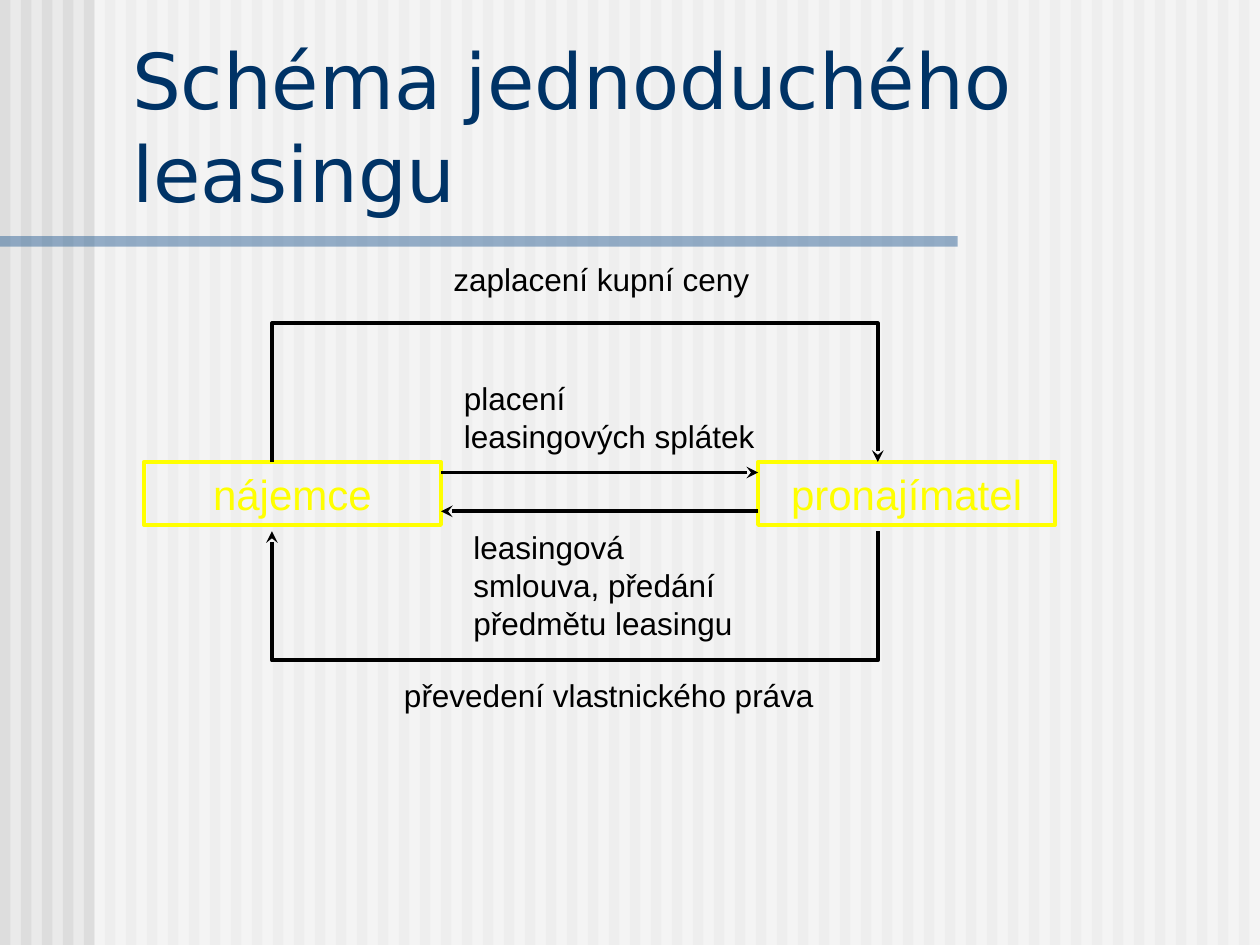
from dataclasses import dataclass
from typing import Any, NamedTuple

from lxml import etree
from pptx import Presentation
from pptx.dml.color import RGBColor
from pptx.enum.shapes import MSO_CONNECTOR, MSO_SHAPE
from pptx.enum.text import MSO_ANCHOR, PP_ALIGN
from pptx.oxml.ns import qn
from pptx.util import Pt

SCALE = 7620
WIDE, HIGH = 1200, 900
RECT = MSO_SHAPE.RECTANGLE
LINE = MSO_CONNECTOR.STRAIGHT
LEFT, MID = PP_ALIGN.LEFT, PP_ALIGN.CENTER
TOP, BASE = MSO_ANCHOR.TOP, MSO_ANCHOR.BOTTOM


@dataclass(frozen=True)
class Theme:
    back: RGBColor = RGBColor(0xEA, 0xEA, 0xEA)
    stripe: RGBColor = RGBColor(0xDD, 0xDD, 0xDD)
    veil: RGBColor = RGBColor(0xFF, 0xFF, 0xFF)
    rule: RGBColor = RGBColor(0x33, 0x66, 0x99)
    title: RGBColor = RGBColor(0x00, 0x33, 0x66)
    party: RGBColor = RGBColor(0xFF, 0xFF, 0x00)
    ink: RGBColor = RGBColor(0x00, 0x00, 0x00)
    head: str = "DejaVu Sans"
    body: str = "Arial"
    large: Any = Pt(44)
    medium: Any = Pt(24)
    small: Any = Pt(18)
    stroke: Any = Pt(2.25)


class Area(NamedTuple):
    x: int
    y: int
    w: int
    h: int


class Label(NamedTuple):
    text: str
    area: Area


class Point(NamedTuple):
    x: int
    y: int


THEME = Theme()
PITCH, BAND = 20, 10
VEIL = Area(90, 0, 1110, HIGH)
RULE = Area(0, 225, 912, 10)
TITLE = Label("Schéma jednoduchého leasingu", Area(114, 25, 1072, 188))
PARTIES = [
    Label("nájemce", Area(137, 440, 283, 60)),
    Label("pronajímatel", Area(722, 440, 283, 60)),
]
NOTES = [
    Label("leasingová smlouva, předání předmětu leasingu", Area(439, 497, 283, 120)),
    Label("placení leasingových splátek", Area(430, 355, 302, 84)),
    Label("zaplacení kupní ceny", Area(420, 242, 331, 48)),
    Label("převedení vlastnického práva", Area(373, 638, 425, 48)),
]
FLOWS = [
    (Point(420, 450), Point(722, 450)),
    (Point(722, 487), Point(420, 487)),
]
LOOPS = [
    [Point(259, 440), Point(259, 308), Point(836, 308), Point(836, 440)],
    [Point(836, 506), Point(836, 629), Point(259, 629), Point(259, 506)],
]


def emu(*sizes: int) -> list[int]:
    return [size * SCALE for size in sizes]


def apply(item: Any, values: dict[str, Any]) -> None:
    for name, value in values.items():
        setattr(item, name, value)


def write(shape: Any, text: str, font: dict[str, Any], color: RGBColor,
          align: Any = LEFT, anchor: Any = TOP) -> None:
    frame = shape.text_frame
    apply(frame, {"word_wrap": True, "vertical_anchor": anchor, "text": text})
    para = frame.paragraphs[0]
    para.alignment = align
    apply(para.font, font)
    para.font.color.rgb = color


def paint(shapes: Any, area: Area, color: RGBColor, alpha: int = 100) -> None:
    shape = shapes.add_shape(RECT, *emu(*area))
    shape.shadow.inherit = False
    shape.fill.solid()
    shape.fill.fore_color.rgb = color
    shape.line.fill.background()
    if alpha < 100:
        tint = shape._element.spPr.find(qn("a:solidFill"))[0]
        etree.SubElement(tint, qn("a:alpha"), val=str(alpha * 1000))


def stroke(shape: Any, color: RGBColor) -> None:
    shape.line.color.rgb = color
    shape.line.width = THEME.stroke


def point(shape: Any) -> None:
    stroke(shape, THEME.ink)
    line = shape._element.spPr.find(qn("a:ln"))
    etree.SubElement(line, qn("a:tailEnd"), type="stealth")


def party(shapes: Any, label: Label) -> None:
    shape = shapes.add_shape(RECT, *emu(*label.area))
    shape.shadow.inherit = False
    shape.fill.background()
    stroke(shape, THEME.party)
    font = {"name": THEME.body, "size": THEME.medium}
    write(shape, label.text, font, THEME.party, MID)


def note(shapes: Any, label: Label) -> None:
    box = shapes.add_textbox(*emu(*label.area))
    font = {"name": THEME.body, "size": THEME.small}
    write(box, label.text, font, THEME.ink)


def flow(shapes: Any, start: Point, end: Point) -> None:
    arrow = shapes.add_connector(LINE, *emu(*start, *end))
    point(arrow)
    etree.SubElement(arrow._element.spPr, qn("a:effectLst"))


def loop(shapes: Any, route: list[Point]) -> None:
    pen = shapes.build_freeform(*route[0], scale=SCALE)
    pen.add_line_segments(route[1:], close=False)
    shape = pen.convert_to_shape()
    shape.shadow.inherit = False
    shape.fill.background()
    point(shape)


def main() -> None:
    deck = Presentation()
    deck.slide_width, deck.slide_height = emu(WIDE, HIGH)
    slide = deck.slides.add_slide(deck.slide_layouts[6])
    slide.background.fill.solid()
    slide.background.fill.fore_color.rgb = THEME.back
    shapes = slide.shapes
    for x in range(0, WIDE, PITCH):
        paint(shapes, Area(x, 0, BAND, HIGH), THEME.stripe)
    paint(shapes, VEIL, THEME.veil, 50)
    paint(shapes, RULE, THEME.rule, 50)
    title = shapes.add_textbox(*emu(*TITLE.area))
    font = {"name": THEME.head, "size": THEME.large}
    write(title, TITLE.text, font, THEME.title, anchor=BASE)
    for label in PARTIES:
        party(shapes, label)
    for start, end in FLOWS:
        flow(shapes, start, end)
    for label in NOTES:
        note(shapes, label)
    for route in LOOPS:
        loop(shapes, route)
    deck.save("out.pptx")


if __name__ == "__main__":
    main()
